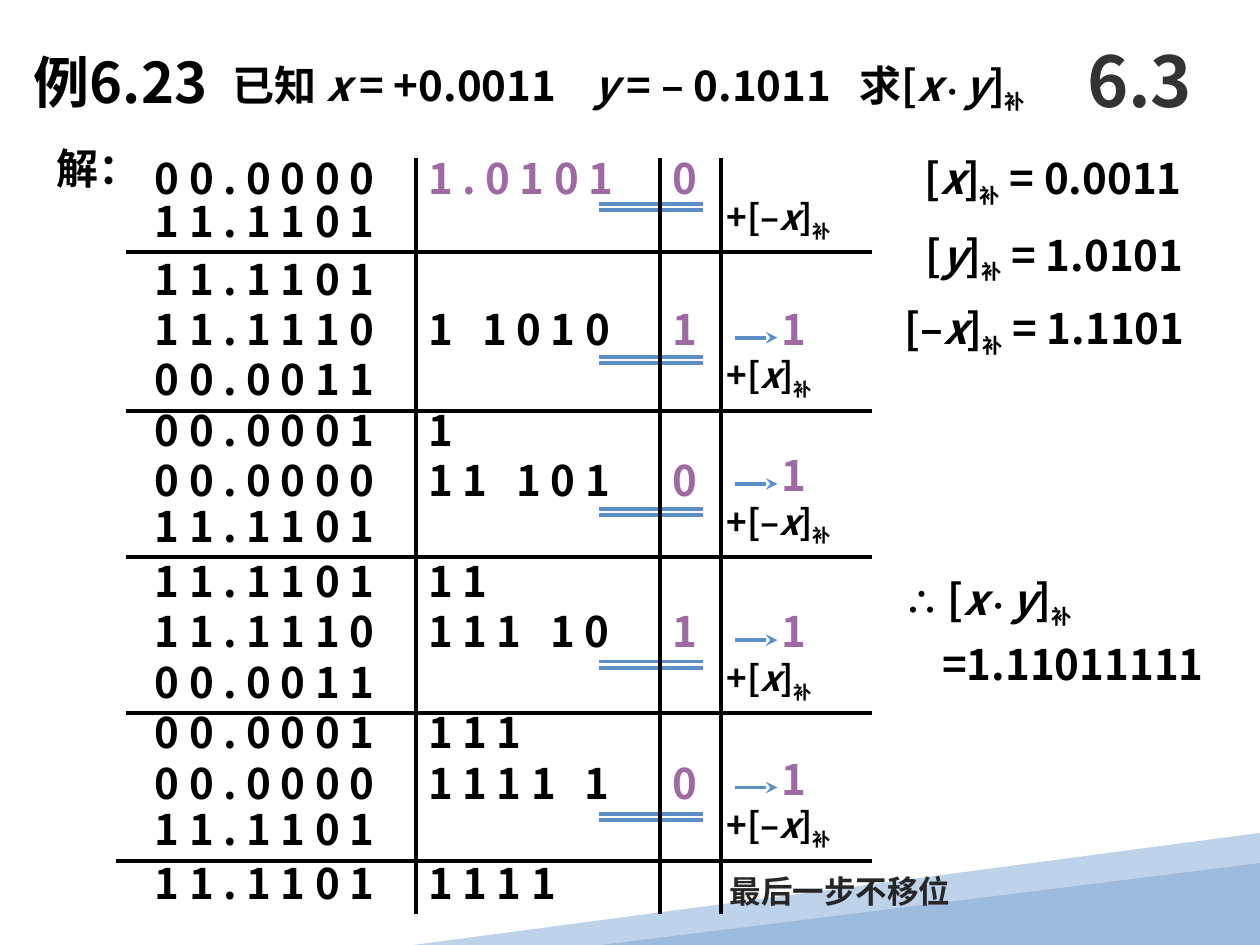
from dataclasses import dataclass
from typing import NamedTuple

from lxml import etree
from pptx import Presentation
from pptx.dml.color import RGBColor
from pptx.enum import shapes, text
from pptx.oxml import ns
from pptx.util import Inches, Pt


@dataclass(frozen=True)
class Theme:
    font: str = "Noto Sans CJK SC"
    ink: str = "000000"
    bit: str = "9F69A3"
    accent: str = "5C8FC7"
    note: str = "262626"
    section: str = "333333"
    wedge_light: str = "BED2E9"
    wedge_dark: str = "9DBCDD"
    section_size: int = 40
    example_size: int = 32
    body_size: int = 24
    operand_size: int = 20
    note_size: int = 18
    rule_width: float = 2.25


THEME = Theme()


class Part(NamedTuple):
    words: str
    italic: bool = False
    baseline: int = 0
    size: int | None = None


@dataclass(frozen=True)
class Cycle:
    partial: str
    multiplier: str
    extra_bit: str
    addend: str
    addend_top: float
    result: str
    shifted_out: str
    negative: bool


CYCLES = [
    Cycle("0 0 . 0 0 0 0", "1 . 0 1 0 1", "0", "1 1 . 1 1 0 1", 1.5, "1 1 . 1 1 0 1", "", True),
    Cycle("1 1 . 1 1 1 0", "1\t1 0 1 0", "1", "0 0 . 0 0 1 1", 2.76, "0 0 . 0 0 0 1", "1", False),
    Cycle("0 0 . 0 0 0 0", "1 1\t1 0 1", "0", "1 1 . 1 1 0 1", 3.92, "1 1 . 1 1 0 1", "1 1", True),
    Cycle("1 1 . 1 1 1 0", "1 1 1\t1 0", "1", "0 0 . 0 0 1 1", 5.16, "0 0 . 0 0 0 1", "1 1 1", False),
    Cycle("0 0 . 0 0 0 0", "1 1 1 1\t1", "0", "1 1 . 1 1 0 1", 6.33, "1 1 . 1 1 0 1", "1 1 1 1", True),
]
FIRST_ROW, CYCLE_PITCH, RESULT_DROP = 1.16, 1.2, 0.8
SUM_LEFT, MULTIPLIER_LEFT, EXTRA_LEFT, OPERAND_LEFT = 1.13, 3.3, 5.24, 5.67


def style(paragraph, size: int, color: str) -> None:
    """Set the bold face for Latin and Chinese characters alike."""
    font = paragraph.font
    font.size, font.bold = Pt(size), True
    font.color.rgb = RGBColor.from_string(color)
    font.name = THEME.font
    etree.SubElement(font._rPr, ns.qn("a:ea"), typeface=THEME.font)


def set_tabs(paragraph, stops: list[float]) -> None:
    tabs = etree.SubElement(paragraph._p.get_or_add_pPr(), ns.qn("a:tabLst"))
    for stop in stops:
        etree.SubElement(tabs, ns.qn("a:tab"), pos=str(Inches(stop)), algn="l")


def fill_paragraph(paragraph, parts: list[Part], size: int, color: str,
                   stops: list[float] | None = None, indent: float = 0) -> None:
    if stops:
        set_tabs(paragraph, stops)
    if indent:
        paragraph._p.get_or_add_pPr().set("marL", str(Inches(indent)))
    style(paragraph, size, color)
    for part in parts:
        run = paragraph.add_run()
        run.text = part.words
        if part.italic:
            run.font.italic = True
        if part.size:
            run.font.size = Pt(part.size)
        if part.baseline:
            run._r.get_or_add_rPr().set("baseline", str(part.baseline * 1000))


def add_text(slide, left: float, top: float, width: float, parts: str | list[Part],
             size: int = THEME.body_size, color: str = THEME.ink, height: float = 0.5,
             stops: list[float] | None = None, indent: float = 0):
    frame = slide.shapes.add_textbox(
        Inches(left), Inches(top), Inches(width), Inches(height)).text_frame
    frame.word_wrap = True
    if isinstance(parts, str):
        parts = [Part(parts)]
    fill_paragraph(frame.paragraphs[0], parts, size, color, stops, indent)
    return frame


def add_rule(slide, x1: float, y1: float, x2: float, y2: float,
             color: str = THEME.ink, arrow: bool = False) -> None:
    rule = slide.shapes.add_connector(
        shapes.MSO_CONNECTOR.STRAIGHT, Inches(x1), Inches(y1), Inches(x2), Inches(y2))
    rule.line.color.rgb = RGBColor.from_string(color)
    rule.line.width = Pt(THEME.rule_width)
    if arrow:
        etree.SubElement(rule.line._get_or_add_ln(), ns.qn("a:tailEnd"), type="stealth")
    etree.SubElement(rule._element.spPr, ns.qn("a:effectLst"))


def add_wedge(slide, points: list[tuple[float, float]], color: str) -> None:
    corners = [(Inches(x), Inches(y)) for x, y in points]
    builder = slide.shapes.build_freeform(*corners[0])
    builder.add_line_segments(corners[1:], close=True)
    wedge = builder.convert_to_shape()
    wedge.shadow.inherit = False
    wedge.fill.solid()
    wedge.fill.fore_color.rgb = RGBColor.from_string(color)
    wedge.line.fill.background()


def complement(variable: str, sign: str = "", size: int = THEME.operand_size) -> list[Part]:
    """Parts of a bracketed variable with the complement subscript."""
    return [Part("[" + sign), Part(variable, True), Part("]"), Part("补", baseline=-25, size=size)]


def product() -> list[Part]:
    opening, x, *closing = complement("x")
    return [opening, x, Part("·", baseline=-1), Part("y", True), *closing]


def add_cycle(slide, index: int, cycle: Cycle) -> None:
    row = FIRST_ROW + index * CYCLE_PITCH
    for top, total, digits, color in (
            (row, cycle.partial, cycle.multiplier, THEME.ink if index else THEME.bit),
            (cycle.addend_top, cycle.addend, "", THEME.ink),
            (row + RESULT_DROP, cycle.result, cycle.shifted_out, THEME.ink)):
        add_text(slide, SUM_LEFT, top, 2.2, total)
        if digits:
            gap = [0.16 + 0.27 * index] if "\t" in digits else None
            add_text(slide, MULTIPLIER_LEFT, top, 1.92, digits, color=color, stops=gap)
    add_text(slide, EXTRA_LEFT, row, 0.41, cycle.extra_bit, color=THEME.bit)

    operand = [Part("+"), *complement("x", "–" if cycle.negative else "", THEME.note_size)]
    add_text(slide, OPERAND_LEFT, cycle.addend_top, 1.42, operand,
             size=THEME.operand_size, height=0.44)
    if index:
        add_text(slide, 6.1, cycle.addend_top - 0.4, 0.41, "1", color=THEME.bit)
        arrow_y = cycle.addend_top - 0.08
        add_rule(slide, 5.83, arrow_y, 6.17, arrow_y, THEME.accent, arrow=True)

    bar = cycle.addend_top + 0.5
    add_rule(slide, 0.92 if cycle is CYCLES[-1] else 1, bar, 6.92, bar)
    for offset in (0, 0.05):
        underline = 1.62 + 1.21 * index + offset
        add_rule(slide, 4.75, underline, 5.58, underline, THEME.accent)


def add_section_number(slide) -> None:
    title = slide.shapes.title
    title.left, title.top, title.width, title.height = map(Inches, (8.42, 0.17, 1.25, 0.92))
    title.text_frame.vertical_anchor = text.MSO_ANCHOR.MIDDLE
    paragraph = title.text_frame.paragraphs[0]
    paragraph.alignment = text.PP_ALIGN.CENTER
    fill_paragraph(paragraph, [Part("6.3")], THEME.section_size, THEME.section)


def main() -> None:
    deck = Presentation()
    deck.slide_width, deck.slide_height = Inches(10), Inches(7.5)
    slide = deck.slides.add_slide(deck.slide_layouts[5])
    add_wedge(slide, [(10, 6.61), (10, 7.44), (6.73, 7.5), (3.28, 7.5)], THEME.wedge_light)
    add_wedge(slide, [(10, 6.85), (10, 7.5), (4.77, 7.5)], THEME.wedge_dark)
    add_section_number(slide)

    add_text(slide, 0.17, 0.33, 3.58, "例6.23", size=THEME.example_size, height=0.64)
    given = [Part("已知 "), Part("x", True), Part(" = +0.0011\t"), Part("y", True),
             Part(" = – 0.1011\t求"), *product()]
    add_text(slide, 1.75, 0.42, 7.92, given, stops=[2.86, 4.97])
    add_text(slide, 0.35, 1.08, 0.9, "解：")

    for index, cycle in enumerate(CYCLES):
        add_cycle(slide, index, cycle)
    for x in (MULTIPLIER_LEFT, EXTRA_LEFT, 5.72):
        add_rule(slide, x, 1.25, x, 7.25)

    for left, top, sign, variable, value in (
            (7.24, 1.16, "", "x", "0.0011"),
            (7.25, 1.77, "", "y", "1.0101"),
            (7.08, 2.35, "–", "x", "1.1101")):
        add_text(slide, left, top, 2.6, [*complement(variable, sign), Part(f" = {value}")])

    therefore = Part("∴ ", size=THEME.operand_size)
    conclusion = add_text(slide, 7.08, 4.54, 2.83, [therefore, *product()], height=0.99)
    answer = conclusion.add_paragraph()
    answer.space_before = Pt(12)
    fill_paragraph(answer, [Part("=1.11011111")], THEME.body_size, THEME.ink, indent=0.3)
    for line in conclusion.paragraphs:
        line.line_spacing = 0.85

    note = add_text(slide, OPERAND_LEFT, 6.92, 2.17, "最后一步不移位", size=THEME.note_size,
                    color=THEME.note, height=0.3, indent=0.1)
    note.margin_left = note.margin_right = Inches(0.02)
    note.margin_top = note.margin_bottom = 0
    deck.save("out.pptx")


if __name__ == "__main__":
    main()
